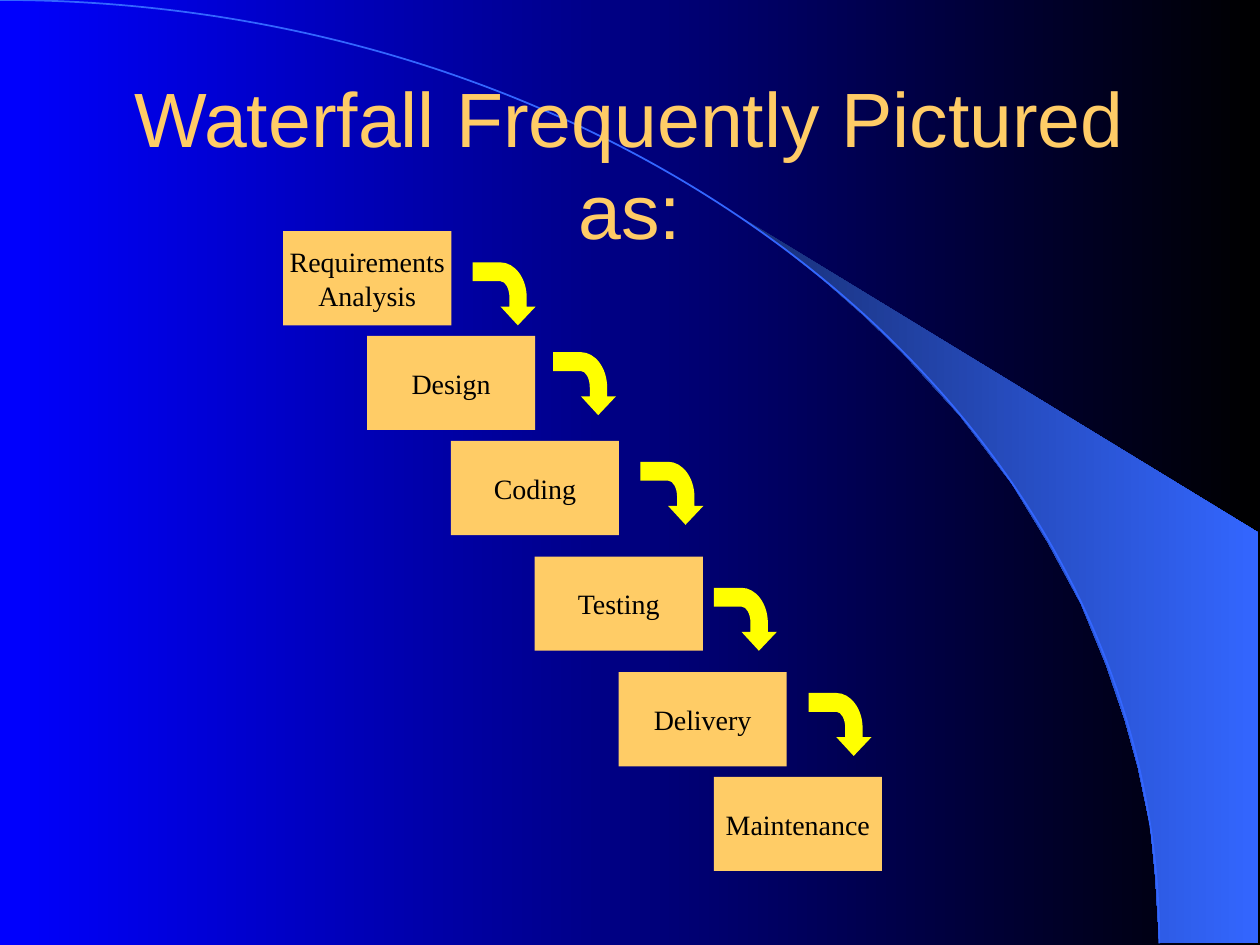
from dataclasses import dataclass

from lxml.etree import SubElement
from pptx import Presentation
from pptx.dml.color import RGBColor
from pptx.dml.fill import FillFormat
from pptx.enum.shapes import MSO_SHAPE as Preset
from pptx.enum.text import MSO_ANCHOR as Anchor, PP_ALIGN as Align
from pptx.oxml.ns import qn
from pptx.shapes.autoshape import Shape
from pptx.slide import Slide
from pptx.text.text import TextFrame
from pptx.util import Cm, Pt

COLORS = {
    "sky_start": "0000FF",
    "sky_end": "000000",
    "beam_start": "182F76",
    "beam_end": "3366FF",
    "sand": "FFCC66",
    "arrow": "FFFF00",
    "text": "000000",
}

Point = tuple[float, float]


@dataclass(frozen=True)
class Stage:
    label: str
    left: float
    top: float


@dataclass(frozen=True)
class Outline:
    points: list[Point]
    curve_starts: tuple[int, ...] = ()
    closed: bool = True


STAGE_WIDTH, STAGE_HEIGHT = 3.39, 1.9
FIRST_LEFT, STAGE_STEP = 5.71, 1.69
STAGES = [
    Stage(label, FIRST_LEFT + STAGE_STEP * index, top)
    for index, (label, top) in enumerate([
        ("Requirements\nAnalysis", 4.66),
        ("Design", 6.77),
        ("Coding", 8.89),
        ("Testing", 11.22),
        ("Delivery", 13.55),
    ])
] + [Stage("Maintenance", 14.39, 15.66)]

ARROW_CORNERS: list[Point] = [
    (11.15, 7.1), (9.53, 5.29), (14.39, 11.85), (16.3, 13.97), (12.91, 9.31),
]
ARROW = Outline(
    [
        (0.91, 1.27), (1.27, 0.89), (1.09, 0.89), (1.09, 0.71),
        (1.09, 0.32), (0.85, 0), (0.56, 0),
        (0, 0), (0, 0.38), (0.56, 0.38),
        (0.66, 0.38), (0.74, 0.53), (0.74, 0.71),
        (0.74, 0.89), (0.56, 0.89),
    ],
    curve_starts=(4, 10),
)
ARC = Outline(
    [(0, 0), (12.9, 0), (23.37, 8.51), (23.37, 19.02)], curve_starts=(1,), closed=False
)
BEAM = Outline([
    (23.37, 19.0), (25.37, 19.02), (25.37, 10.74), (14.96, 4.39), (15.85, 5.05),
    (16.59, 5.64), (17.4, 6.35), (18.19, 7.11), (19.35, 8.38), (20.4, 9.75),
    (21.13, 10.95), (21.79, 12.17), (22.3, 13.41), (22.68, 14.53),
    (22.94, 15.47), (23.19, 16.66), (23.29, 17.68),
])


def color(name: str) -> RGBColor:
    """Return the named colour."""
    return RGBColor.from_string(COLORS[name])


def fill_gradient(fill: FillFormat, start: str, end: str) -> None:
    """Apply a left-to-right gradient of two colours."""
    fill.gradient()
    fill.gradient_angle = 0
    for stop, name in zip(fill.gradient_stops, (start, end)):
        stop.color.rgb = color(name)


def bend_segments(shape: Shape, curve_starts: tuple[int, ...]) -> None:
    """Merge each three segments from a curve start into one Bézier curve."""
    segments = list(shape.element.iter(qn("a:lnTo")))
    for start in curve_starts:
        group = segments[start - 1:start + 2]
        outline = group[0].getparent()
        curve = SubElement(outline, qn("a:cubicBezTo"))
        group[0].addprevious(curve)
        for segment in group:
            curve.append(segment[0])
            outline.remove(segment)


def add_outline(slide: Slide, outline: Outline, left: float = 0, top: float = 0) -> Shape:
    """Draw a freeform outline at an offset in centimetres."""
    start, *rest = [(Cm(left + x), Cm(top + y)) for x, y in outline.points]
    builder = slide.shapes.build_freeform(*start)
    builder.add_line_segments(rest, close=outline.closed)
    shape = builder.convert_to_shape()
    bend_segments(shape, outline.curve_starts)
    shape.shadow.inherit = False
    shape.line.fill.background()
    return shape


def write_text(text_frame: TextFrame, text: str, font: str, size: int, color_name: str) -> None:
    """Write centred text in one style."""
    text_frame.text = text
    text_frame.vertical_anchor = Anchor.MIDDLE
    for paragraph in text_frame.paragraphs:
        paragraph.alignment = Align.CENTER
        for run in paragraph.runs:
            run.font.name = font
            run.font.size = Pt(size)
            run.font.color.rgb = color(color_name)


def add_backdrop(slide: Slide) -> None:
    """Draw the gradient sky, the beam and the long arc."""
    fill_gradient(slide.background.fill, "sky_start", "sky_end")
    beam = add_outline(slide, BEAM)
    fill_gradient(beam.fill, "beam_start", "beam_end")
    arc = add_outline(slide, ARC)
    arc.fill.background()
    arc.line.color.rgb = color("beam_end")
    arc.line.width = Pt(1)


def add_title(slide: Slide) -> None:
    """Write the slide title."""
    title = slide.shapes.add_textbox(Cm(1.9), Cm(1.69), Cm(21.59), Cm(3.18))
    title.text_frame.word_wrap = True
    write_text(title.text_frame, "Waterfall Frequently Pictured as:", "Arial", 44, "sand")


def add_stage(slide: Slide, stage: Stage) -> None:
    """Draw one labelled stage box."""
    shape = slide.shapes.add_shape(
        Preset.RECTANGLE, Cm(stage.left), Cm(stage.top), Cm(STAGE_WIDTH), Cm(STAGE_HEIGHT)
    )
    shape.shadow.inherit = False
    shape.fill.solid()
    shape.fill.fore_color.rgb = color("sand")
    shape.line.fill.background()
    shape.text_frame.word_wrap = False
    write_text(shape.text_frame, stage.label, "Times New Roman", 16, "text")


def add_bent_arrow(slide: Slide, corner: Point) -> None:
    """Draw an arrow that runs right and bends down."""
    arrow = add_outline(slide, ARROW, *corner)
    arrow.fill.solid()
    arrow.fill.fore_color.rgb = color("arrow")


def main() -> None:
    """Build and save the waterfall slide."""
    presentation = Presentation()
    presentation.slide_width = Cm(25.4)
    presentation.slide_height = Cm(19.05)
    slide = presentation.slides.add_slide(presentation.slide_layouts[6])
    add_backdrop(slide)
    add_title(slide)
    for stage in STAGES:
        add_stage(slide, stage)
    for corner in ARROW_CORNERS:
        add_bent_arrow(slide, corner)
    presentation.save("out.pptx")


if __name__ == "__main__":
    main()
